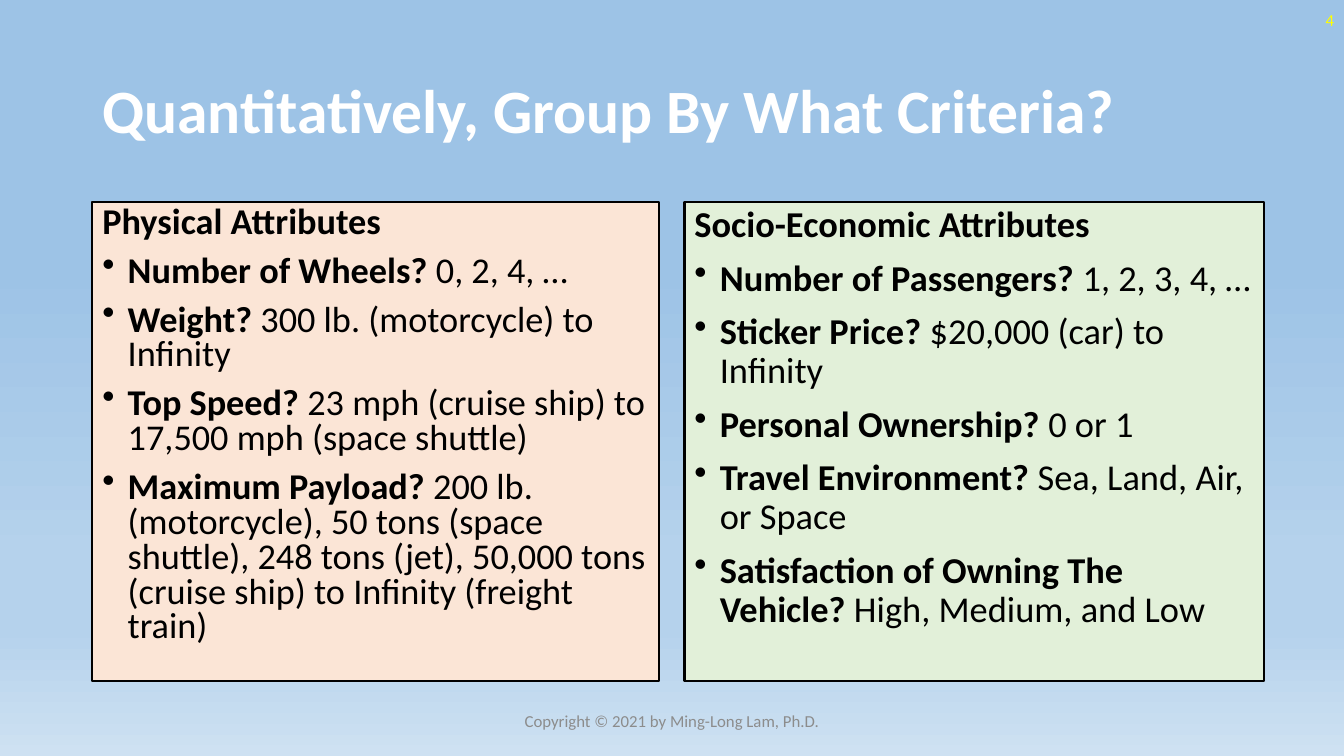
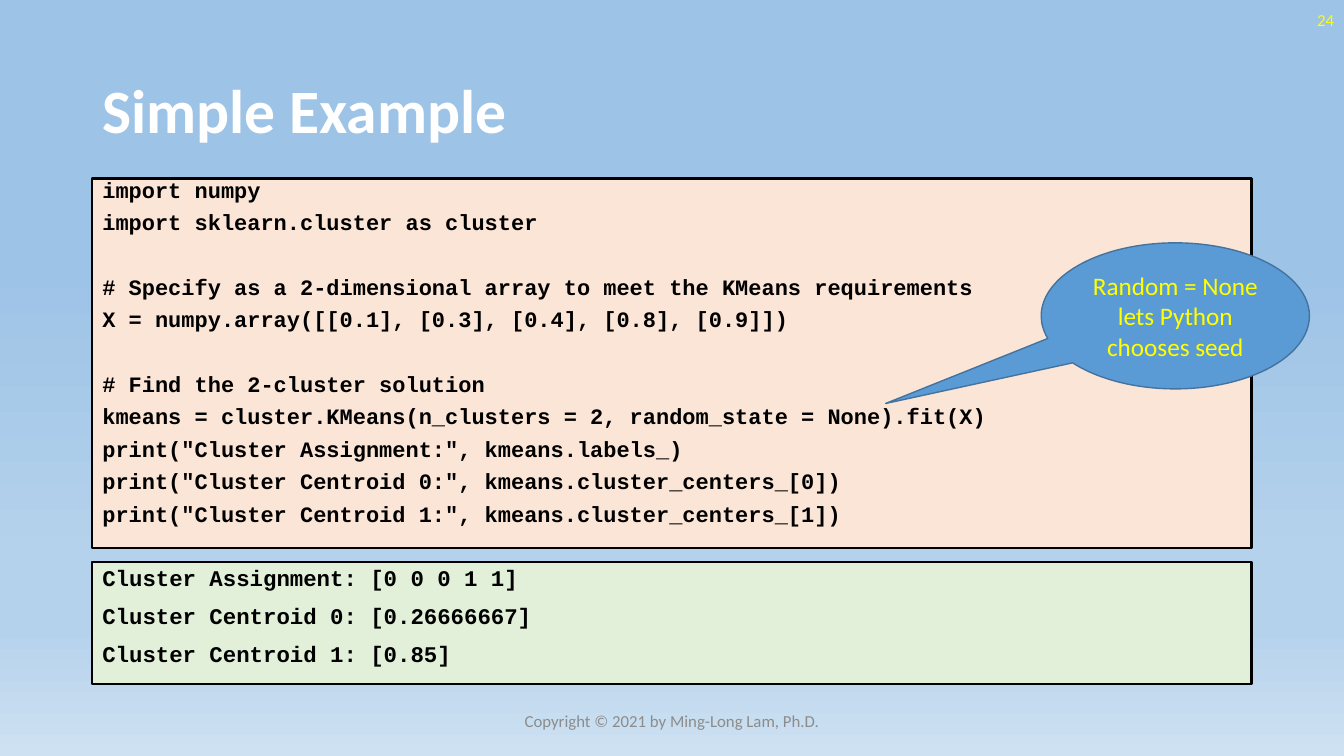
"""Build two lecture slides on grouping criteria and a k-means example."""
from itertools import accumulate, chain

from pptx import Presentation
from pptx.dml.color import RGBColor
from pptx.enum.shapes import MSO_SHAPE as Preset
from pptx.enum.text import MSO_ANCHOR as Anchor, PP_ALIGN as Align
from pptx.oxml import parse_xml
from pptx.oxml.ns import nsdecls, qn
from pptx.oxml.xmlchemy import OxmlElement
from pptx.util import Cm, Pt

BLACK = RGBColor(0x00, 0x00, 0x00)
WHITE = RGBColor(0xFF, 0xFF, 0xFF)
YELLOW = RGBColor(0xFF, 0xFF, 0x00)
GRAY = RGBColor(0x8C, 0x8C, 0x8C)
PEACH = RGBColor(0xFB, 0xE5, 0xD6)
MINT = RGBColor(0xE2, 0xF0, 0xD9)
BLUE = RGBColor(0x5B, 0x9B, 0xD5)
DARK_BLUE = RGBColor(0x43, 0x73, 0x9E)
SKY = [
    (35, RGBColor(0x9D, 0xC3, 0xE6)),
    (74, RGBColor(0xB5, 0xD2, 0xEC)),
    (83, RGBColor(0xB5, 0xD2, 0xEC)),
    (100, RGBColor(0xCE, 0xE1, 0xF2)),
]

SANS, MONO = "Calibri", "Courier New"
WIDTH, HEIGHT = 33.87, 19.05
LEFT, FULL = 2.33, 29.21
HANG = Cm(0.64)
PARAGRAPH_GAP, BLOCK_GAP = 10, 33

COPYRIGHT = "Copyright © 2021 by Ming-Long Lam, Ph.D."

PHYSICAL = [
    "Physical Attributes",
    ("Number of Wheels?", " 0, 2, 4, …"),
    ("Weight?", " 300 lb. (motorcycle) to Infinity"),
    ("Top Speed?", " 23 mph (cruise ship) to 17,500 mph (space shuttle)"),
    ("Maximum Payload?", " 200 lb. (motorcycle), 50 tons (space shuttle), "
     "248 tons (jet), 50,000 tons (cruise ship) to Infinity (freight train)"),
]
SOCIO_ECONOMIC = [
    "Socio-Economic Attributes",
    ("Number of Passengers?", " 1, 2, 3, 4, …"),
    ("Sticker Price?", " $20,000 (car) to Infinity"),
    ("Personal Ownership?", " 0 or 1"),
    ("Travel Environment?", " Sea, Land, Air, or Space"),
    ("Satisfaction of Owning The Vehicle?", " High, Medium, and Low"),
]
CODE_BLOCKS = [
    ["import numpy",
     "import sklearn.cluster as cluster"],
    ["# Specify as a 2-dimensional array to meet the KMeans requirements",
     "X = numpy.array([[0.1], [0.3], [0.4], [0.8], [0.9]])"],
    ["# Find the 2-cluster solution",
     "kmeans = cluster.KMeans(n_clusters = 2, random_state = None).fit(X)",
     'print("Cluster Assignment:", kmeans.labels_)',
     'print("Cluster Centroid 0:", kmeans.cluster_centers_[0])',
     'print("Cluster Centroid 1:", kmeans.cluster_centers_[1])'],
]
OUTPUT = [
    "Cluster Assignment: [0 0 0 1 1]",
    "Cluster Centroid 0: [0.26666667]",
    "Cluster Centroid 1: [0.85]",
]
SEED_NOTE = "Random = None lets Python chooses seed"


def add_bullet(paragraph):
    """Give a paragraph a hanging round bullet."""
    properties = paragraph._p.get_or_add_pPr()
    properties.set("marL", str(HANG))
    properties.set("indent", str(-HANG))
    bullet = OxmlElement("a:buChar")
    bullet.set("char", "•")
    properties.append(bullet)


def write(shape, paragraphs, *, size, color=BLACK, font=SANS, bold=False,
          align=Align.LEFT, anchor=Anchor.MIDDLE, spacing=1.0, block_starts=()):
    """Fill a shape with paragraphs; a (lead, detail) pair becomes a bullet."""
    frame = shape.text_frame
    frame.word_wrap = True
    frame.vertical_anchor = anchor
    for index, content in enumerate(paragraphs):
        paragraph = frame.add_paragraph() if index else frame.paragraphs[0]
        runs = [(content, bold)]
        if isinstance(content, tuple):
            add_bullet(paragraph)
            runs = zip(content, (True, False))
        paragraph.alignment = align
        paragraph.line_spacing = spacing
        if index:
            gap = BLOCK_GAP if index in block_starts else PARAGRAPH_GAP
            paragraph.space_before = Pt(gap)
        for text, is_bold in runs:
            run = paragraph.add_run()
            run.text = text
            run.font.name = font
            run.font.size = Pt(size)
            run.font.bold = is_bold
            run.font.color.rgb = color


def add_label(slide, box, text, **style):
    """Add one line of free text."""
    label = slide.shapes.add_textbox(*map(Cm, box))
    write(label, [text], **style)


def add_panel(slide, box, paragraphs, *, fill, preset=Preset.RECTANGLE,
              outline=BLACK, weight=1.5, **style):
    """Add a filled, outlined shape with text."""
    panel = slide.shapes.add_shape(preset, *map(Cm, box))
    panel.shadow.inherit = False
    panel.fill.solid()
    panel.fill.fore_color.rgb = fill
    panel.line.color.rgb = outline
    panel.line.width = Pt(weight)
    write(panel, paragraphs, **style)
    return panel


def paint_background(master):
    """Give the master the vertical sky gradient."""
    master.background.fill.solid()
    stops = "".join(
        f'<a:gs pos="{percent * 1000}"><a:srgbClr val="{color}"/></a:gs>'
        for percent, color in SKY)
    gradient = parse_xml(
        f'<a:gradFill {nsdecls("a")} rotWithShape="1"><a:gsLst>{stops}</a:gsLst>'
        '<a:lin ang="5400000" scaled="0"/></a:gradFill>')
    properties = master.element.find(".//" + qn("p:bgPr"))
    properties.replace(properties[0], gradient)


def add_slide(deck, title, number):
    """Add a slide with title, page number and copyright line."""
    slide = deck.slides.add_slide(deck.slide_layouts[6])
    add_label(slide, (LEFT, 1.02, FULL, 3.68), title,
              size=44, color=WHITE, bold=True, spacing=0.9)
    add_label(slide, (WIDTH - 7.62, 0, 7.62, 1.02), str(number),
              size=12, color=YELLOW, align=Align.RIGHT)
    add_label(slide, ((WIDTH - 11.43) / 2, 17.65, 11.43, 1.02), COPYRIGHT,
              size=12, color=GRAY, align=Align.CENTER)
    return slide


def add_criteria_slide(deck):
    """Compare physical and socio-economic criteria."""
    slide = add_slide(deck, "Quantitatively, Group By What Criteria?", 4)
    top, height = 5.08, 12.09
    heading = dict(bold=True, anchor=Anchor.TOP)
    add_panel(slide, (LEFT, top, 14.28, height), PHYSICAL,
              fill=PEACH, size=25.9, spacing=0.8, **heading)
    add_panel(slide, (17.25, top, 14.61, height), SOCIO_ECONOMIC,
              fill=MINT, size=26, spacing=0.9, **heading)


def add_example_slide(deck):
    """Show the k-means code, its output and a note on the seed."""
    slide = add_slide(deck, "Simple Example", 24)
    listing = dict(font=MONO, bold=True, anchor=Anchor.TOP)
    add_panel(slide, (LEFT, 4.5, FULL, 9.3), chain.from_iterable(CODE_BLOCKS),
              fill=PEACH, size=15.7, spacing=0.7,
              block_starts=set(accumulate(map(len, CODE_BLOCKS))), **listing)
    add_panel(slide, (LEFT, 14.17, FULL, 3.07), OUTPUT,
              fill=MINT, size=16, spacing=0.9, **listing)
    callout = add_panel(slide, (26.24, 6.12, 6.76, 3.68), [SEED_NOTE],
                        preset=Preset.OVAL_CALLOUT, fill=BLUE,
                        outline=DARK_BLUE, weight=1, size=18, color=YELLOW,
                        align=Align.CENTER)
    callout.adjustments[0] = -1.08
    callout.adjustments[1] = 0.6


def main():
    """Build and save the deck."""
    deck = Presentation()
    deck.slide_width, deck.slide_height = Cm(WIDTH), Cm(HEIGHT)
    paint_background(deck.slide_master)
    add_criteria_slide(deck)
    add_example_slide(deck)
    deck.save("out.pptx")


if __name__ == "__main__":
    main()
